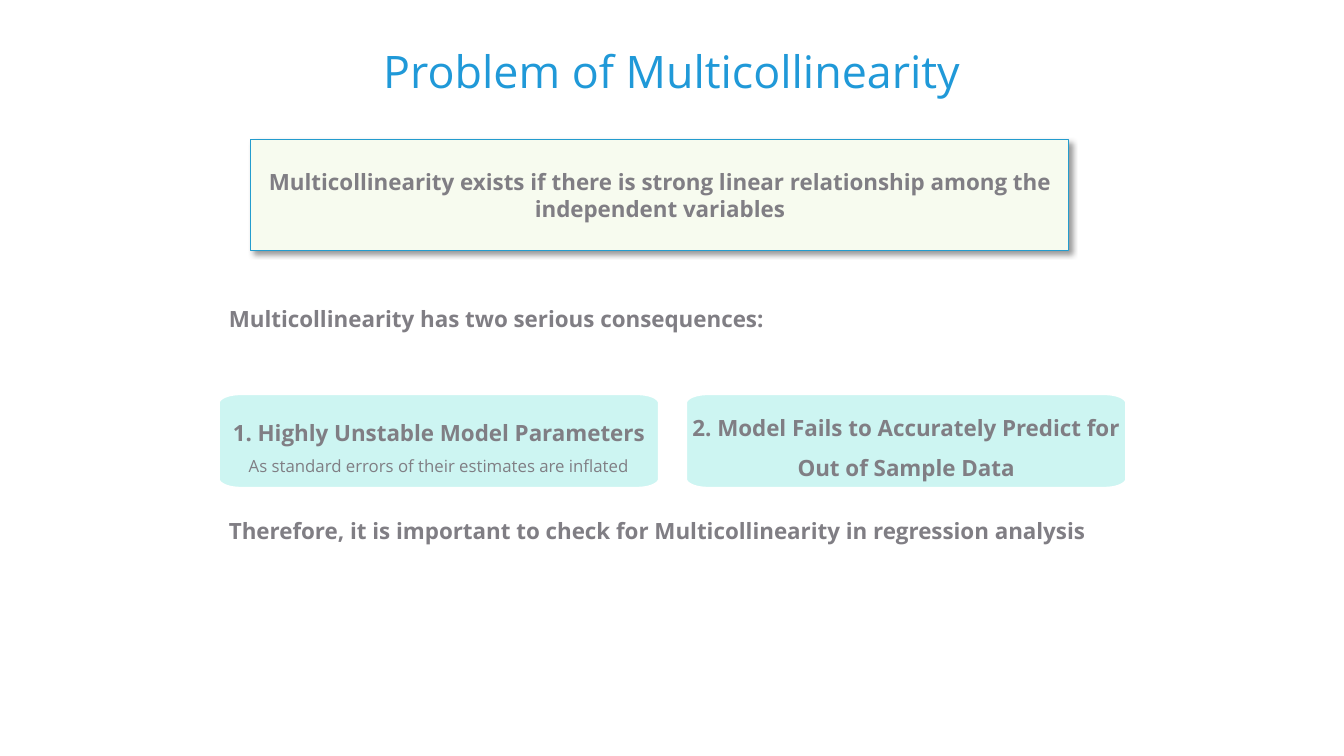
import math

import pptx
import pptx.dml.color
import pptx.enum.shapes
import pptx.enum.text
import pptx.oxml
import pptx.oxml.ns
import pptx.util

RGB = pptx.dml.color.RGBColor
BLUE = RGB(0x20, 0x99, 0xD8)
BORDER = RGB(0x23, 0x9C, 0xCE)
GREY = RGB(0x80, 0x7E, 0x84)
CREAM = RGB(0xF7, 0xFB, 0xEF)
AQUA = RGB(0xCD, 0xF5, 0xF2)
WHITE = RGB(0xFF, 0xFF, 0xFF)

PX = 9525  # EMU per px, 96 px to the inch
CENTER = pptx.enum.text.PP_ALIGN.CENTER
TOP = pptx.enum.text.MSO_ANCHOR.TOP
MIDDLE = pptx.enum.text.MSO_ANCHOR.MIDDLE
SHADOW = (
    '<a:outerShdw %s blurRad="50800" dist="38100" dir="2700000" algn="tl" '
    'rotWithShape="0"><a:srgbClr val="000000"><a:alpha val="40000"/>'
    '</a:srgbClr></a:outerShdw>' % pptx.oxml.ns.nsdecls("a")
)


class Deck:
    """Holds the style and the current slide."""

    font = {"name": "Open Sans", "size": pptx.util.Pt(16), "bold": True}

    def __init__(self, prs):
        self.slide = prs.slides.add_slide(prs.slide_layouts[6])

    def fill_text(self, sp, paragraphs, inset=(0, 0), anchor=MIDDLE, color=GREY, **fmt):
        """Each paragraph is a list of lines, each a (text, font changes) pair."""
        tf = sp.text_frame
        frame = {"word_wrap": True, "vertical_anchor": anchor,
                 "margin_left": inset[0] * PX, "margin_right": inset[0] * PX,
                 "margin_top": inset[1] * PX, "margin_bottom": inset[1] * PX}
        for key, value in frame.items():
            setattr(tf, key, value)
        gap = fmt.pop("gap", 0)
        for i, lines in enumerate(paragraphs):
            p = tf.add_paragraph() if i else tf.paragraphs[0]
            for key, value in fmt.items():
                setattr(p, key, value)
            if i:
                p.space_before = pptx.util.Pt(gap)
            for j, (text, changes) in enumerate(lines):
                if j:
                    p.add_line_break()
                r = p.add_run()
                r.text = text
                for key, value in {**self.font, **changes}.items():
                    setattr(r.font, key, value)
                r.font.color.rgb = color

    def paint(self, sp, fill, line, width):
        sp.shadow.inherit = False
        sp.fill.solid()
        sp.fill.fore_color.rgb = fill
        sp.line.color.rgb = line
        sp.line.width = pptx.util.Pt(width)

    def text(self, x, y, w, h, paragraphs, **fmt):
        sp = self.slide.shapes.add_textbox(x * PX, y * PX, w * PX, h * PX)
        self.fill_text(sp, paragraphs, **fmt)

    def banner(self, x, y, w, h, paragraphs):
        sp = self.slide.shapes.add_shape(
            pptx.enum.shapes.MSO_SHAPE.RECTANGLE, x * PX, y * PX, w * PX, h * PX)
        self.paint(sp, CREAM, BORDER, 0.75)
        effects = sp._element.spPr.find(pptx.oxml.ns.qn("a:effectLst"))
        effects.append(pptx.oxml.parse_xml(SHADOW))
        self.fill_text(sp, paragraphs, inset=(10, 5), alignment=CENTER)

    def card(self, x, y, w, h, paragraphs, rx=21, ry=9, steps=12):
        """Rectangle with elliptical corners, traced clockwise from the left."""
        centers = [(x + rx, y + ry), (x + w - rx, y + ry),
                   (x + w - rx, y + h - ry), (x + rx, y + h - ry)]
        points = []
        for corner, (cx, cy) in enumerate(centers):
            for step in range(steps + 1):
                a = math.pi * (1 + (corner + step / steps) / 2)
                points.append((round((cx + rx * math.cos(a)) * PX),
                               round((cy + ry * math.sin(a)) * PX)))
        builder = self.slide.shapes.build_freeform(*points[0], scale=1.0)
        builder.add_line_segments(points[1:], close=True)
        sp = builder.convert_to_shape()
        self.paint(sp, AQUA, WHITE, 2)
        self.fill_text(sp, paragraphs, inset=(6, 6), alignment=CENTER, line_spacing=1.5)


def main():
    prs = pptx.Presentation()
    prs.slide_width, prs.slide_height = 1280 * PX, 720 * PX
    deck = Deck(prs)

    # Title
    deck.text(208, 29, 864, 85,
              [[("Problem of Multicollinearity",
                 {"size": pptx.util.Pt(32), "bold": False})]],
              color=BLUE, alignment=CENTER, line_spacing=0.86)

    # Lead-in and conclusion, above and below the cards
    deck.text(208, 286, 864, 244,
              [[("Multicollinearity has two serious consequences:", {})],
               [("Therefore, it is important to check for Multicollinearity "
                 "in regression analysis", {})]],
              inset=(10, 5), anchor=TOP, gap=132)

    # Two consequences
    small = {"size": pptx.util.Pt(12), "bold": False}
    consequences = [
        [("1. Highly Unstable Model Parameters", {}),
         ("As standard errors of their estimates are inflated", small)],
        [("2. Model Fails to Accurately Predict for Out of Sample Data", {})],
    ]
    for i, lines in enumerate(consequences):
        deck.card(208 + i * 445, 375, 420, 90, [lines])

    # Definition
    deck.banner(239, 133, 779, 106,
                [[("Multicollinearity exists if there is strong linear "
                   "relationship among the independent variables", {})]])

    prs.save("out.pptx")


if __name__ == "__main__":
    main()
